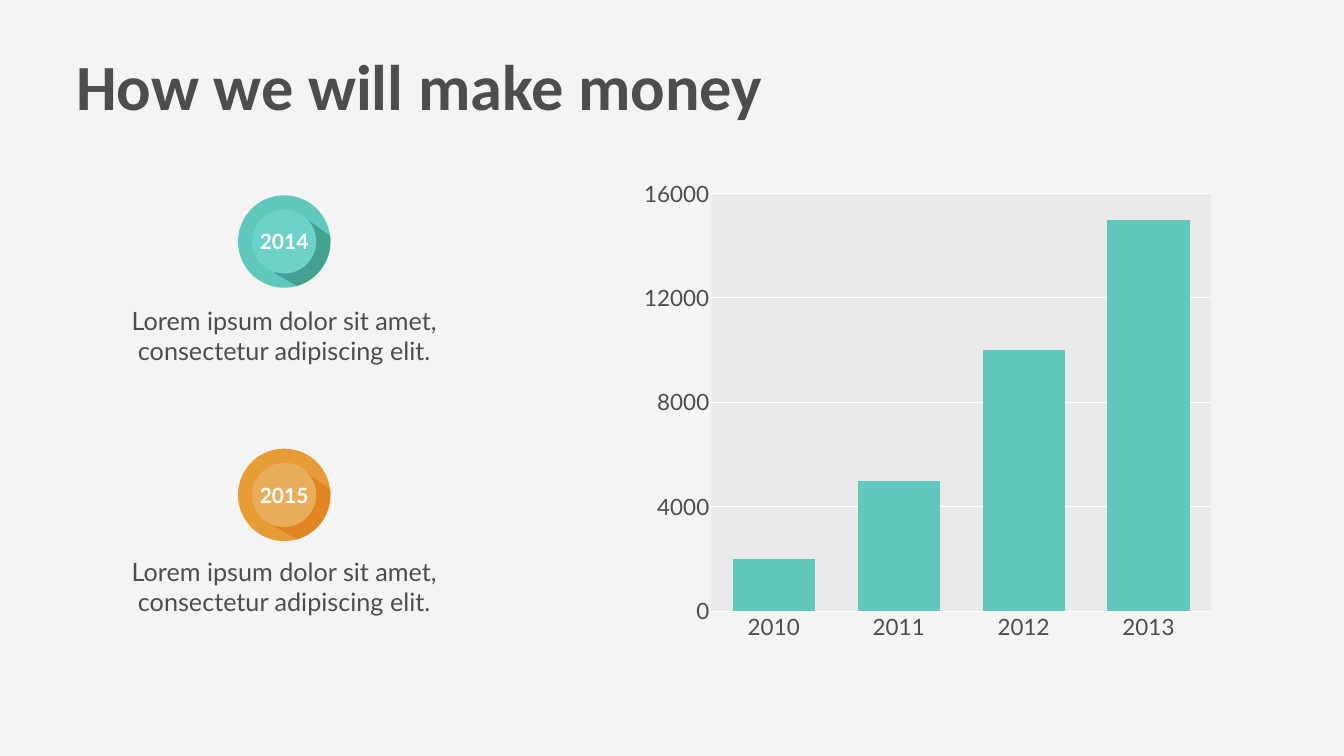
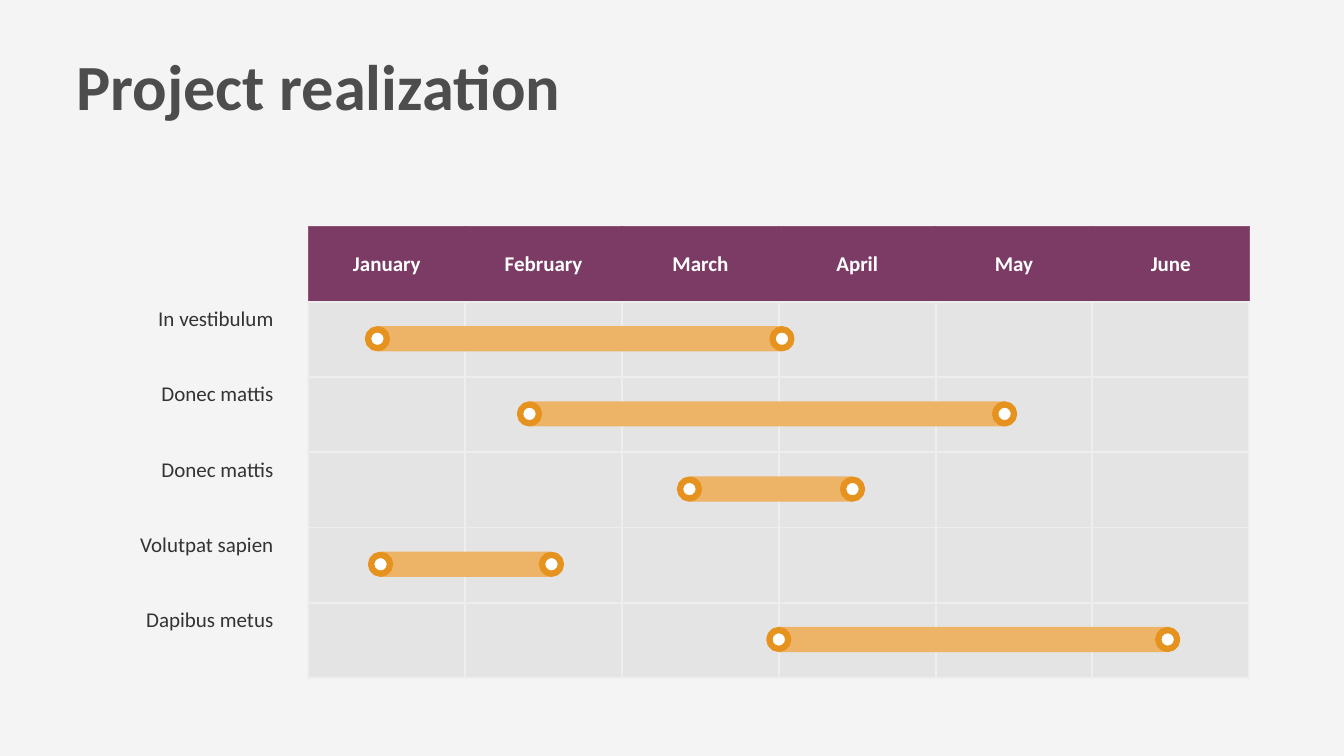
from math import cos, radians, sin

from lxml import etree
from pptx import Presentation
from pptx.chart import data
from pptx.dml.color import RGBColor
from pptx.enum import chart as charts, shapes, text
from pptx.oxml import ns
from pptx.util import Pt

PAPER = RGBColor(0xF4, 0xF4, 0xF4)
WHITE = RGBColor(0xFF, 0xFF, 0xFF)
INK = RGBColor(0x4D, 0x4D, 0x4D)
LABEL_INK = RGBColor(0x33, 0x33, 0x33)
TEAL = RGBColor(0x61, 0xC8, 0xBE)
TEAL_LIGHT = RGBColor(0x6D, 0xD3, 0xC7)
TEAL_DARK = RGBColor(0x44, 0xA2, 0x92)
ORANGE = RGBColor(0xE8, 0x9C, 0x35)
ORANGE_LIGHT = RGBColor(0xEA, 0xAD, 0x5C)
ORANGE_DARK = RGBColor(0xE0, 0x87, 0x22)
PLOT_GREY = RGBColor(0xEA, 0xEA, 0xEA)
PURPLE = RGBColor(0x7B, 0x3B, 0x65)
PURPLE_LIGHT = RGBColor(0x91, 0x54, 0x78)
CELL_GREY = RGBColor(0xE4, 0xE4, 0xE4)
RULE_GREY = RGBColor(0xEE, 0xEE, 0xEE)
SPAN = RGBColor(0xED, 0xB4, 0x68)
SPAN_RING = RGBColor(0xE5, 0x92, 0x1F)

LATO = "Lato"
CALIBRI = "Calibri"
LEFT, CENTER, RIGHT = text.PP_ALIGN.LEFT, text.PP_ALIGN.CENTER, text.PP_ALIGN.RIGHT
TOP, MIDDLE = text.MSO_ANCHOR.TOP, text.MSO_ANCHOR.MIDDLE

YEARS = [
    ("2014", 345, 436, TEAL, TEAL_LIGHT, TEAL_DARK),
    ("2015", 707, 795, ORANGE, ORANGE_LIGHT, ORANGE_DARK),
]
YEAR_NOTE = "Lorem ipsum dolor sit amet, consectetur adipiscing elit."
REVENUE = {"2010": 2000, "2011": 5000, "2012": 10000, "2013": 15000}
MONTHS = ["January", "February", "March", "April", "May", "June"]
TASKS = [
    ("In vestibulum", 0.44, 3.02),
    ("Donec mattis", 1.41, 4.44),
    ("Donec mattis", 2.43, 3.47),
    ("Volutpat sapien", 0.46, 1.55),
    ("Dapibus metus", 3, 5.48),
]


def write(frame, words, size=30, font=CALIBRI, color=INK, bold=False,
          align=LEFT, anchor=TOP, inset=0):
    frame.word_wrap = True
    frame.auto_size = text.MSO_AUTO_SIZE.NONE
    frame.vertical_anchor = anchor
    frame.margin_left = frame.margin_right = Pt(inset)
    frame.margin_top = frame.margin_bottom = Pt(inset)
    paragraph = frame.paragraphs[0]
    paragraph.alignment = align
    run = paragraph.add_run()
    run.text = words
    run.font.size, run.font.name, run.font.bold = Pt(size), font, bold
    run.font.color.rgb = color


def add_text(slide, box, words, **style):
    write(slide.shapes.add_textbox(*map(Pt, box)).text_frame, words, **style)


def paint(shape, fill, ring=None, ring_width=0):
    shape.shadow.inherit = False
    shape.fill.solid()
    shape.fill.fore_color.rgb = fill
    if ring is None:
        shape.line.fill.background()
    else:
        shape.line.color.rgb = ring
        shape.line.width = Pt(ring_width)


def add_disc(slide, x, y, diameter, fill, **ring):
    corner = (x - diameter / 2, y - diameter / 2, diameter, diameter)
    disc = slide.shapes.add_shape(shapes.MSO_SHAPE.OVAL, *map(Pt, corner))
    paint(disc, fill, **ring)


def add_titled_slide(deck, title):
    slide = deck.slides.add_slide(deck.slide_layouts[5])
    heading = slide.shapes.title
    heading.left, heading.top, heading.width, heading.height = map(Pt, (108.7, 66.2, 1175, 119))
    write(heading.text_frame, title, size=92, bold=True)
    return slide


def add_badge(slide, x, y, year, rim, face, shade):
    radius = 66
    add_disc(slide, x, y, 2 * radius, rim)
    arc = [(radius * cos(radians(a)), radius * sin(radians(a))) for a in range(74, -8, -3)]
    outline = [(Pt(x + dx), Pt(y + dy)) for dx, dy in [(-14, 45), *arc, (33.5, -31)]]
    builder = slide.shapes.build_freeform(*outline[0])
    builder.add_line_segments(outline[1:], close=True)
    paint(builder.convert_to_shape(), shade)
    add_disc(slide, x, y, 91.5, face)
    add_text(slide, (x - 39, y - 22, 78, 44), year, font=LATO, color=WHITE,
             bold=True, align=CENTER, anchor=MIDDLE, inset=4)


def add_years(slide, left, width):
    for year, badge_y, note_y, *colors in YEARS:
        add_badge(slide, left + width / 2, badge_y, year, *colors)
        add_text(slide, (left, note_y, width, 96), YEAR_NOTE, size=36, font=LATO, align=CENTER)


def style_plot_area(chart, x, y, w, h):
    area = chart._chartSpace.find(".//" + ns.qn("c:plotArea"))
    for old in area.findall(ns.qn("c:layout")):
        area.remove(old)
    layout = etree.Element(ns.qn("c:layout"))
    manual = etree.SubElement(layout, ns.qn("c:manualLayout"))
    settings = [("layoutTarget", "inner"), ("xMode", "edge"), ("yMode", "edge"),
                ("x", x), ("y", y), ("w", w), ("h", h)]
    for tag, value in settings:
        etree.SubElement(manual, ns.qn("c:" + tag)).set("val", str(value))
    area.insert(0, layout)
    fill = etree.SubElement(etree.SubElement(area, ns.qn("c:spPr")), ns.qn("a:solidFill"))
    etree.SubElement(fill, ns.qn("a:srgbClr")).set("val", str(PLOT_GREY))


def add_revenue_chart(slide, box):
    revenue = data.CategoryChartData(number_format="General")
    revenue.categories = list(REVENUE)
    revenue.add_series("2015", list(REVENUE.values()))
    chart = slide.shapes.add_chart(
        charts.XL_CHART_TYPE.COLUMN_STACKED, *map(Pt, box), revenue).chart
    chart.has_title = chart.has_legend = False
    chart.font.name, chart.font.size = LATO, Pt(32)
    chart.font.color.rgb = INK

    columns = chart.plots[0]
    columns.gap_width, columns.overlap, columns.vary_by_categories = 52, 100, False
    columns.series[0].format.fill.solid()
    columns.series[0].format.fill.fore_color.rgb = TEAL

    for axis in (chart.category_axis, chart.value_axis):
        axis.major_tick_mark = axis.minor_tick_mark = charts.XL_TICK_MARK.NONE
        axis.format.line.fill.background()
    amounts = chart.value_axis
    amounts.minimum_scale, amounts.maximum_scale, amounts.major_unit = 0, 16000, 4000
    amounts.has_major_gridlines = True
    amounts.major_gridlines.format.line.color.rgb = WHITE
    amounts.major_gridlines.format.line.width = Pt(1.31)
    style_plot_area(chart, 0.28, 0.04, 0.72, 0.85)


def set_cell(cell, fill, borders):
    properties = cell._tc.get_or_add_tcPr()
    for side, (color, width) in zip("LRTB", borders):
        line = etree.SubElement(properties, ns.qn("a:ln" + side), w=str(Pt(width)))
        solid = etree.SubElement(line, ns.qn("a:solidFill"))
        etree.SubElement(solid, ns.qn("a:srgbClr")).set("val", str(color))
    cell.fill.solid()
    cell.fill.fore_color.rgb = fill


def add_calendar(slide, left, top, month_width, row_height):
    last = len(MONTHS) - 1
    size = (month_width * len(MONTHS), row_height * (len(TASKS) + 1))
    calendar = slide.shapes.add_table(
        len(TASKS) + 1, len(MONTHS), *map(Pt, (left, top, *size))).table
    calendar.first_row = calendar.horz_banding = False
    for column in calendar.columns:
        column.width = Pt(month_width)
    for row in calendar.rows:
        row.height = Pt(row_height)

    rule, seam, edge = (RULE_GREY, 3), (PURPLE, 2), (PURPLE_LIGHT, 2)
    for i, month in enumerate(MONTHS):
        header = calendar.cell(0, i)
        set_cell(header, PURPLE,
                 [edge if i == 0 else seam, edge if i == last else seam, edge, rule])
        write_cell(header, month)
        for j in range(1, len(TASKS) + 1):
            set_cell(calendar.cell(j, i), CELL_GREY, [rule] * 4)


def write_cell(cell, words):
    cell.vertical_anchor = MIDDLE
    cell.margin_left = cell.margin_right = cell.margin_top = cell.margin_bottom = Pt(5)
    paragraph = cell.text_frame.paragraphs[0]
    paragraph.alignment = CENTER
    run = paragraph.add_run()
    run.text = words
    run.font.size, run.font.name, run.font.bold = Pt(30), CALIBRI, True
    run.font.color.rgb = WHITE


def add_task(slide, left, top, month_width, name, start, end):
    add_text(slide, (left - 328, top + 1.3, 282, 44), name, color=LABEL_INK,
             align=RIGHT, anchor=MIDDLE, inset=4)
    x1, x2 = left + start * month_width, left + end * month_width
    bar_top, bar_height = top + 34.5, 36
    bar = slide.shapes.add_shape(
        shapes.MSO_SHAPE.RECTANGLE, *map(Pt, (x1, bar_top, x2 - x1, bar_height)))
    paint(bar, SPAN)
    for x in (x1, x2):
        add_disc(slide, x, bar_top + bar_height / 2, 27, WHITE, ring=SPAN_RING, ring_width=9)


def add_schedule(slide, left, top, width, height):
    month_width, row_height = width / len(MONTHS), height / (len(TASKS) + 1)
    add_calendar(slide, left, top, month_width, row_height)
    for i, task in enumerate(TASKS, 1):
        add_task(slide, left, top + i * row_height, month_width, *task)


def main():
    deck = Presentation()
    deck.slide_width, deck.slide_height = Pt(1920), Pt(1080)
    backdrop = deck.slide_master.background.fill
    backdrop.solid()
    backdrop.fore_color.rgb = PAPER

    money = add_titled_slide(deck, "How we will make money")
    add_years(money, 144, 524)
    add_revenue_chart(money, (738.7, 248.4, 992, 702))

    project = add_titled_slide(deck, "Project realization")
    add_schedule(project, 440.6, 324, 1344, 644.4)
    deck.save("out.pptx")


if __name__ == "__main__":
    main()
